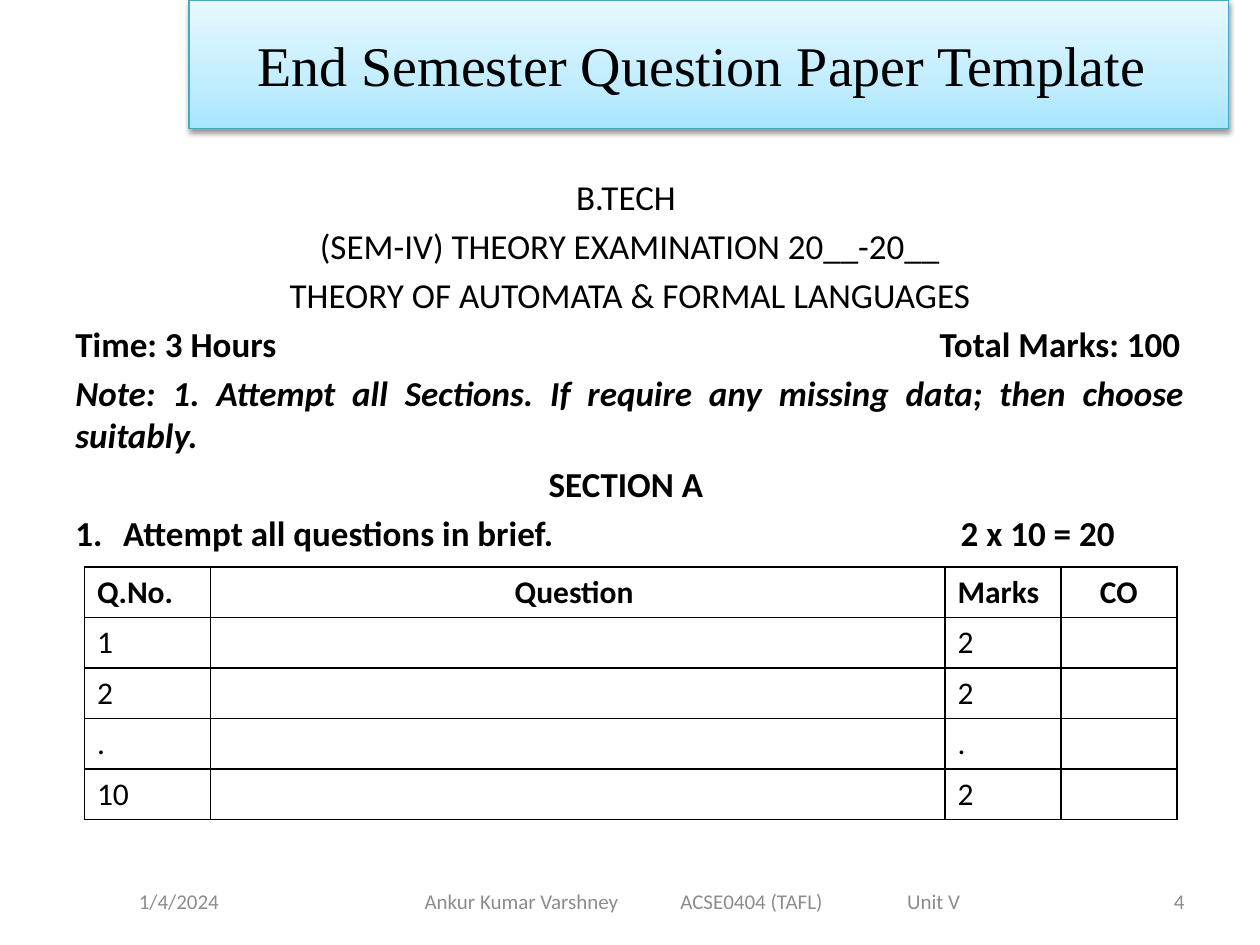
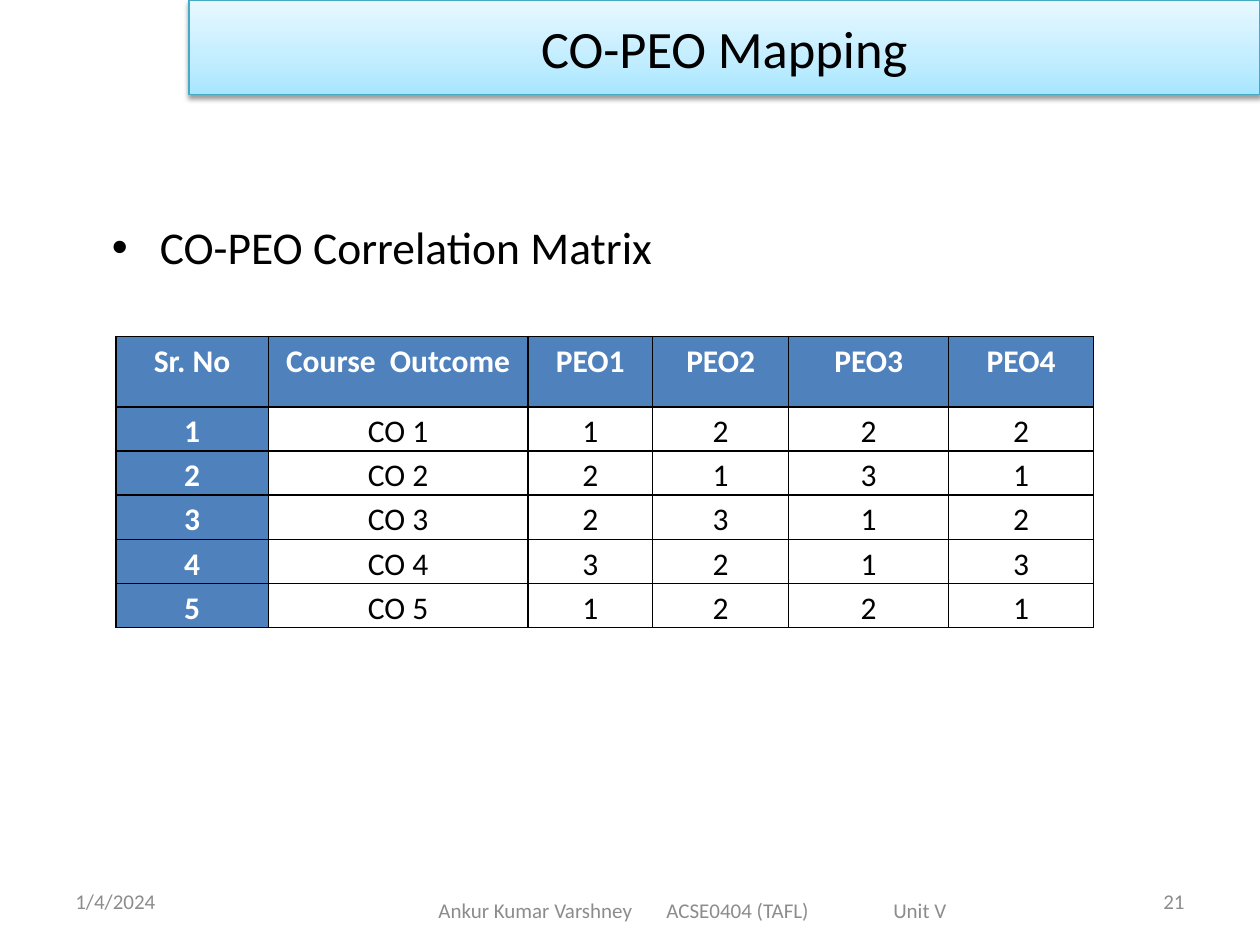
from lxml.etree import SubElement
from pptx import Presentation
from pptx.dml.color import RGBColor
from pptx.enum.shapes import MSO_SHAPE
from pptx.enum.text import MSO_ANCHOR as ANCHOR, PP_ALIGN as ALIGN
from pptx.oxml import parse_xml
from pptx.oxml.ns import nsdecls, qn
from pptx.util import Inches, Pt

# Shared style
hex_color = RGBColor.from_string
BLACK, WHITE, GRAY, BLUE, TEAL = "000000", "FFFFFF", "8C8C8C", "4F81BD", "46AAC5"
BODY_FONT, SERIF_FONT = "Calibri", "Times New Roman"
LEFT, CENTER, RIGHT, JUSTIFY = ALIGN.LEFT, ALIGN.CENTER, ALIGN.RIGHT, ALIGN.JUSTIFY
BAND_STOPS = [(0, "A7E6FF"), (35, "C1EDFF"), (100, "E7F8FF")]
BAND_GRADIENT = (
    f'<a:gradFill {nsdecls("a")} rotWithShape="1"><a:gsLst>'
    + "".join(f'<a:gs pos="{pos * 1000}"><a:srgbClr val="{color}"/></a:gs>'
              for pos, color in BAND_STOPS)
    + '</a:gsLst><a:lin ang="16200000" scaled="0"/></a:gradFill>')
BAND_SHADOW = (
    f'<a:effectLst {nsdecls("a")}><a:outerShdw blurRad="{Pt(3.1)}" dist="{Pt(1.6)}" '
    'dir="5400000" rotWithShape="0"><a:srgbClr val="000000"><a:alpha val="38000"/>'
    '</a:srgbClr></a:outerShdw></a:effectLst>')


def write(para, text, size, color=BLACK, align=LEFT, font=BODY_FONT,
          bold=False, italic=False, bullet=None, tabs=()):
    """Add one run; tabs are (inches, 'l' or 'r') pairs."""
    para.alignment = align
    props = para._p.get_or_add_pPr()
    if bullet:
        props.set("marL", str(Inches(0.38)))
        props.set("indent", str(-Inches(0.38)))
        tag, key = bullet
        SubElement(props, qn("a:buFont"), typeface="Arial" if tag == "buChar" else "+mj-lt")
        SubElement(props, qn(f"a:{tag}"), **key)
    if tabs:
        stops = SubElement(props, qn("a:tabLst"))
        for pos, side in tabs:
            SubElement(stops, qn("a:tab"), pos=str(Inches(pos)), algn=side)
    span = para.add_run()
    span.text = text
    span.font.name, span.font.size = font, Pt(size)
    span.font.bold, span.font.italic = bold, italic
    span.font.color.rgb = hex_color(color)


def add_grid(page, left, top, widths, heights, rows, style):
    """Draw a bordered table; style(row, col) gives fill, text colour, bold, align."""
    grid = page.shapes.add_table(len(rows), len(widths), Inches(left), Inches(top),
                                 Inches(sum(widths)), Inches(sum(heights))).table
    for column, width in zip(grid.columns, widths):
        column.width = Inches(width)
    for r, (height, row) in enumerate(zip(heights, rows)):
        grid.rows[r].height = Inches(height)
        for c, text in enumerate(row):
            cell = grid.cell(r, c)
            fill, color, bold, align = style(r, c)
            cell.fill.solid()
            cell.fill.fore_color.rgb = hex_color(fill)
            for i, side in enumerate("LRTB"):
                cell._tc.get_or_add_tcPr().insert(i, parse_xml(
                    f'<a:ln{side} {nsdecls("a")} w="{Pt(1)}"><a:solidFill>'
                    f'<a:srgbClr val="{BLACK}"/></a:solidFill></a:ln{side}>'))
            para = cell.text_frame.paragraphs[0]
            if text:
                write(para, text, 18, color, align, bold=bold)
            else:
                para.font.size = Pt(18)
    return grid


deck = Presentation()
deck.slide_width, deck.slide_height = Inches(10), Inches(7.5)

# Title bands and footers: band size, title, date place, footer place and tab stops
frames = [
    dict(band=(8.25, 1.02), title="End Semester Question Paper Template ", size=32,
         font=SERIF_FONT, date=(0.67, 1.5, CENTER), number="4",
         footer_height=0.4, footer_inset=0.62, footer_tabs=(2.03, 3.83)),
    dict(band=(8.5, 0.75), title="CO-PEO Mapping", size=30,
         font=BODY_FONT, date=(0.5, 2.33, LEFT), number="21",
         footer_height=0.55, footer_inset=0.73, footer_tabs=(1.81, 3.61)),
]
pages = []
for frame in frames:
    page = deck.slides.add_slide(deck.slide_layouts[6])
    pages.append(page)

    width, height = frame["band"]
    band = page.shapes.add_shape(MSO_SHAPE.RECTANGLE, Inches(1.5), 0,
                                 Inches(width), Inches(height))
    band.line.color.rgb = hex_color(TEAL)
    band.line.width = Pt(0.75)
    band_props = band._element.spPr
    band_props.insert(2, parse_xml(BAND_GRADIENT))
    band_props.append(parse_xml(BAND_SHADOW))
    band.text_frame.word_wrap = True
    band.text_frame.vertical_anchor = ANCHOR.MIDDLE
    write(band.text_frame.paragraphs[0], frame["title"], frame["size"],
          align=CENTER, font=frame["font"])

    date_left, date_width, date_align = frame["date"]
    footer = "Ankur Kumar Varshney\tACSE0404 (TAFL)\tUnit V"
    for text, left, width, height, align, inset, tabs in [
        ("1/4/2024", date_left, date_width, 0.4, date_align, 0.1, ()),
        (frame["number"], 7.17, 2.33, 0.4, RIGHT, 0.1, ()),
        (footer, 2.75, 5.5, frame["footer_height"], LEFT, frame["footer_inset"],
         [(pos, "l") for pos in frame["footer_tabs"]]),
    ]:
        box = page.shapes.add_textbox(Inches(left), Inches(6.95), Inches(width), Inches(height))
        box.text_frame.word_wrap = True
        box.text_frame.vertical_anchor = ANCHOR.MIDDLE
        box.text_frame.margin_left = Inches(inset)
        write(box.text_frame.paragraphs[0], text, 12, GRAY, align, tabs=tabs)

paper_page, mapping_page = pages

# Question paper heading and instructions
box = paper_page.shapes.add_textbox(Inches(0.5), Inches(1.34), Inches(9), Inches(5.2))
box.text_frame.word_wrap = True
paper_lines = [
    ("B.TECH ", dict(align=CENTER)),
    ("(SEM-IV) THEORY EXAMINATION 20__-20__", dict(align=CENTER)),
    ("THEORY OF AUTOMATA & FORMAL LANGUAGES", dict(align=CENTER)),
    ("Time: 3 Hours\tTotal Marks: 100", dict(bold=True, tabs=[(8.77, "r")])),
    ("Note: 1. Attempt all Sections. If require any missing data; then choose suitably.",
     dict(align=JUSTIFY, bold=True, italic=True)),
    ("SECTION A ", dict(align=CENTER, bold=True)),
    ("Attempt all questions in brief.\t2 x 10 = 20",
     dict(bold=True, bullet=("buAutoNum", {"type": "arabicPeriod"}), tabs=[(8.25, "r")])),
]
for i, (text, look) in enumerate(paper_lines):
    para = box.text_frame.add_paragraph() if i else box.text_frame.paragraphs[0]
    if i:
        para.space_before = Pt(4)
    write(para, text, 20, **look)

# Question table
questions = [["Q.No.", "Question ", "Marks", "CO"]]
questions += [[number, "", marks, ""]
              for number, marks in [("1", "2"), ("2", "2"), (".", "."), ("10", "2")]]
add_grid(paper_page, 0.67, 4.5, [1, 5.83, 0.92, 0.92], [0.4] * 5, questions,
         lambda r, c: (WHITE, BLACK, r == 0, CENTER if c in (1, 3) else LEFT))

# Correlation matrix heading
box = mapping_page.shapes.add_textbox(Inches(0.79), Inches(1.69), Inches(9), Inches(0.6))
box.text_frame.word_wrap = True
write(box.text_frame.paragraphs[0], "CO-PEO Correlation Matrix", 26,
      bullet=("buChar", {"char": "•"}))

# Correlation matrix
levels = ["1222", "2131", "2312", "3213", "1221"]
matrix = [["Sr. No", "Course  Outcome"] + [f"PEO{n}" for n in range(1, 5)]]
matrix += [[str(n), f"CO {n}", *row] for n, row in enumerate(levels, 1)]
grid = add_grid(mapping_page, 0.92, 2.67, [1.21, 2.06, 0.99, 1.08, 1.27, 1.15],
                [0.56] + [0.35] * 5, matrix,
                lambda r, c: (WHITE, BLACK, False, CENTER) if r and c
                else (BLUE, WHITE, True, CENTER))
for cell in grid.iter_cells():
    cell.margin_left = cell.margin_right = Inches(0.07)
    cell.margin_top = cell.margin_bottom = 0
    cell.text_frame.paragraphs[0].line_spacing = 1.15

deck.save("out.pptx")
